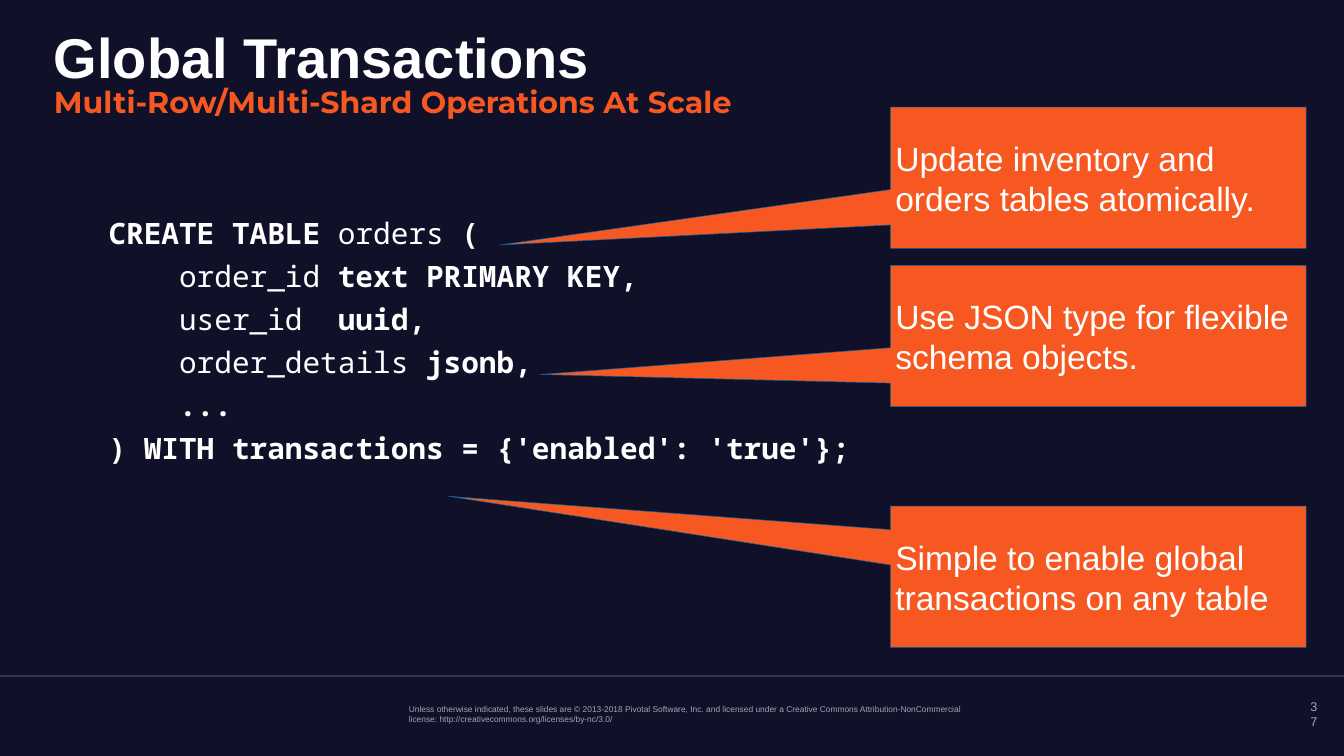
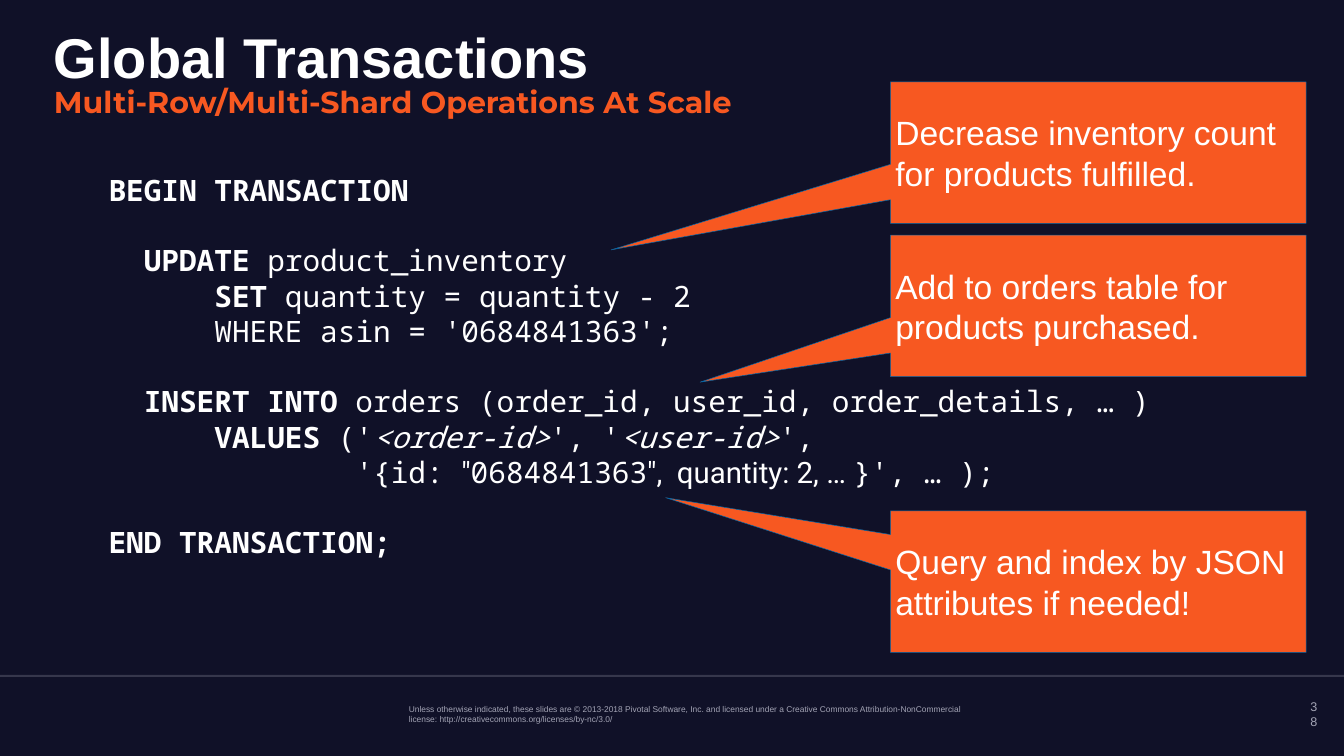
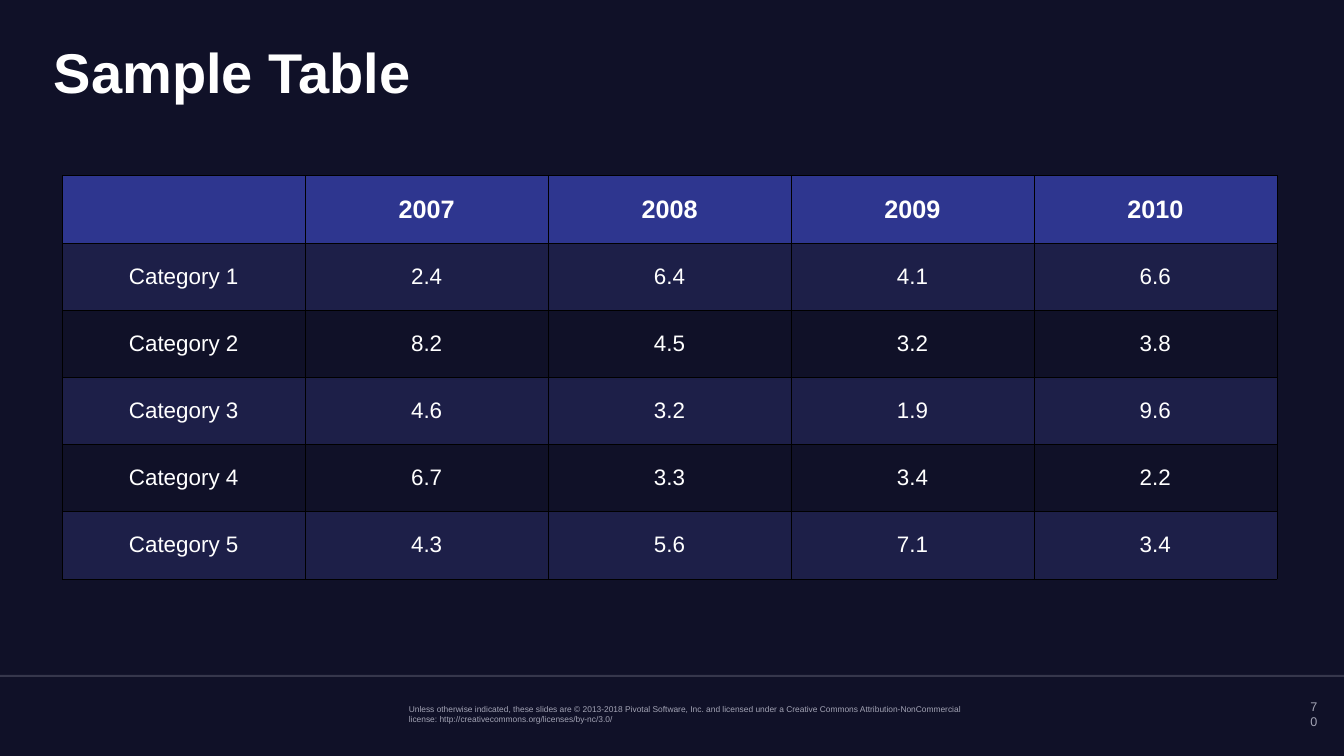
"""Build three dark slides: two annotated SQL listings and a sample table."""
from lxml.etree import SubElement
from pptx import Presentation
from pptx.dml.color import RGBColor
from pptx.enum.shapes import MSO_SHAPE
from pptx.enum.text import MSO_ANCHOR, PP_ALIGN
from pptx.oxml.ns import qn
from pptx.util import Pt

PX = 12700
SLIDE_W, SLIDE_H = 1920, 1080

NAVY = RGBColor(0x10, 0x11, 0x28)
INDIGO = RGBColor(0x1D, 0x1F, 0x48)
BLUE = RGBColor(0x2E, 0x36, 0x8F)
ORANGE = RGBColor(0xF7, 0x58, 0x21)
OUTLINE = RGBColor(0x00, 0x65, 0xA7)
GRAY = RGBColor(0xA3, 0xA4, 0xB5)
WHITE = RGBColor(0xFF, 0xFF, 0xFF)

SANS, DISPLAY, MONO, ROBOTO = "Arial", "Montserrat", "Noto Sans Mono", "Roboto"
CODE_SIZE, CODE_LINE = 42, 50
CALLOUT_X, CALLOUT_W, CALLOUT_H = 1272, 594, 202
TABLE_X, TABLE_Y, COL_W, ROW_H = 89, 251, 347, 96

TITLE = "Global Transactions"
SUBTITLE = "Multi-Row/Multi-Shard Operations At Scale"
LICENSE = (
    "Unless otherwise indicated, these slides are © 2013-2018 Pivotal Software, Inc. "
    "and licensed under a Creative Commons Attribution-NonCommercial license: "
    "http://creativecommons.org/licenses/by-nc/3.0/"
)

B = {"bold": True}
I = {"italic": True}
R = {"font": ROBOTO}

CREATE_CODE = [
    [("CREATE TABLE ", B), ("orders", {}), (" (", B)],
    [("    ", B), ("order_id", {}), (" text PRIMARY KEY,", B)],
    [("    ", B), ("user_id", {}), ("  uuid,", B)],
    [("    ", B), ("order_details", {}), (" jsonb,", B)],
    [("    ...", B)],
    [(") WITH transactions = {'enabled': 'true'};", B)],
]
CREATE_CALLOUTS = [
    ("Update inventory and orders tables atomically.", 153, (714, 350)),
    ("Simple to enable global transactions on any table", 723, (641, 709)),
    ("Use JSON type for flexible schema objects.", 379, (772, 535)),
]

UPDATE_CODE = [
    [("BEGIN TRANSACTION", B)],
    [("  ", {}), ("UPDATE", B), (" product_inventory", {})],
    [("      ", {}), ("SET", B), (" quantity = quantity - 2", {})],
    [("      WHERE asin = '0684841363';", {})],
    [("  ", {}), ("INSERT INTO", B),
     (" orders (order_id, user_id, order_details, … )", {})],
    [("      ", {}), ("VALUES", B), (" ('", {}), ("<order-id>", I),
     ("', '", {}), ("<user-id>", I), ("',", {})],
    [("              '{id: ", {}), ('"', R), ("0684841363", {}),
     ('",  quantity: 2, … ', R), ("}', … );", {})],
    [("END TRANSACTION;", B)],
]
UPDATE_GAPS = {1: CODE_LINE, 4: CODE_LINE, 7: CODE_LINE}
UPDATE_CALLOUTS = [
    ("Decrease inventory count for products fulfilled.", 117, (873, 357)),
    ("Query and index by JSON attributes if needed!", 730, (951, 711)),
    ("Add to orders table for products purchased.", 336, (1000, 546)),
]

TABLE_ROWS = [
    ["", "2007", "2008", "2009", "2010"],
    ["Category 1", "2.4", "6.4", "4.1", "6.6"],
    ["Category 2", "8.2", "4.5", "3.2", "3.8"],
    ["Category 3", "4.6", "3.2", "1.9", "9.6"],
    ["Category 4", "6.7", "3.3", "3.4", "2.2"],
    ["Category 5", "4.3", "5.6", "7.1", "3.4"],
]


def px(*lengths):
    return [n * PX for n in lengths]


def add_run(p, text, size, color=WHITE, font=SANS, bold=False, italic=False):
    r = p.add_run()
    r.text = text
    r.font.size = Pt(size)
    r.font.name = font
    r.font.bold = bold
    r.font.italic = italic
    r.font.color.rgb = color


def set_frame(tf, inset, anchor=MSO_ANCHOR.TOP):
    tf.word_wrap = True
    tf.vertical_anchor = anchor
    tf.margin_left = tf.margin_right = tf.margin_top = tf.margin_bottom = inset * PX
    return tf.paragraphs[0]


def add_box(s, x, y, w, h, inset=9, anchor=MSO_ANCHOR.TOP):
    tf = s.shapes.add_textbox(*px(x, y, w, h)).text_frame
    set_frame(tf, inset, anchor)
    return tf


def add_footer(s, number):
    tf = add_box(s, 575, 997, 843, 49)
    add_run(tf.paragraphs[0], LICENSE, 12, GRAY)

    rule = s.shapes.add_shape(MSO_SHAPE.RECTANGLE, *px(0, 964, SLIDE_W, 3))
    rule.shadow.inherit = False
    rule.line.fill.background()
    rule.fill.solid()
    rule.fill.fore_color.rgb = GRAY
    color = rule.fill._xPr.find(qn("a:solidFill"))[0]
    SubElement(color, qn("a:alpha"), val="26000")

    p = add_box(s, 1854, 999, 37, 41, anchor=MSO_ANCHOR.MIDDLE).paragraphs[0]
    p.alignment = PP_ALIGN.RIGHT
    add_run(p, str(number), 18, GRAY)


def add_title(s, title, subtitle=None):
    tf = add_box(s, 68, 35, 1785, 133, anchor=MSO_ANCHOR.MIDDLE)
    add_run(tf.paragraphs[0], title, 80, bold=True)
    if subtitle:
        p = tf.add_paragraph()
        p.line_spacing = 0.85
        add_run(p, subtitle, 43, ORANGE, DISPLAY, bold=True)


def add_slide(prs, number, title, subtitle=None):
    s = prs.slides.add_slide(prs.slide_layouts[6])
    add_footer(s, number)
    add_title(s, title, subtitle)
    return s


def add_code(s, lines, y, h, spacing=0, gaps=None):
    tf = add_box(s, 153, y, 1608, h, inset=2)
    for i, line in enumerate(lines):
        p = tf.add_paragraph() if i else tf.paragraphs[0]
        if i:
            p.space_before = Pt((gaps or {}).get(i, spacing))
        for text, style in line:
            add_run(p, text, CODE_SIZE, **{"font": MONO, **style})


def add_callout(s, text, y, tip):
    sp = s.shapes.add_shape(MSO_SHAPE.ROUNDED_RECTANGULAR_CALLOUT,
                            *px(CALLOUT_X, y, CALLOUT_W, CALLOUT_H))
    sp.shadow.inherit = False
    sp.adjustments[0] = (tip[0] - CALLOUT_X) / CALLOUT_W - 0.5
    sp.adjustments[1] = (tip[1] - y) / CALLOUT_H - 0.5
    sp.adjustments[2] = 0
    sp.fill.solid()
    sp.fill.fore_color.rgb = ORANGE
    sp.line.color.rgb = OUTLINE
    sp.line.width = Pt(0.75)
    p = set_frame(sp.text_frame, 7, MSO_ANCHOR.MIDDLE)
    p.alignment = PP_ALIGN.LEFT
    add_run(p, text, 48)


def add_borders(cell):
    tc_pr = cell._tc.get_or_add_tcPr()
    for side in ("a:lnL", "a:lnR", "a:lnT", "a:lnB"):
        ln = SubElement(tc_pr, qn(side), w=str(Pt(0.75)))
        fill = SubElement(ln, qn("a:solidFill"))
        SubElement(fill, qn("a:srgbClr"), val="000000")


def add_cell(cell, text, fill, **style):
    add_borders(cell)
    cell.fill.solid()
    cell.fill.fore_color.rgb = fill
    cell.vertical_anchor = MSO_ANCHOR.MIDDLE
    cell.margin_left = cell.margin_right = 3 * PX
    cell.margin_top = cell.margin_bottom = 3 * PX
    p = cell.text_frame.paragraphs[0]
    p.alignment = PP_ALIGN.CENTER
    if text:
        add_run(p, text, **style)


def add_data_table(s, rows):
    n_rows, n_cols = len(rows), len(rows[0])
    table = s.shapes.add_table(
        n_rows, n_cols, *px(TABLE_X, TABLE_Y, n_cols * COL_W, n_rows * ROW_H)).table
    for i, row in enumerate(rows):
        header = i == 0
        fill = BLUE if header else INDIGO if i % 2 else NAVY
        for j, text in enumerate(row):
            add_cell(table.cell(i, j), text, fill,
                     size=36 if header else 32, bold=header)


def main():
    prs = Presentation()
    prs.slide_width, prs.slide_height = px(SLIDE_W, SLIDE_H)
    background = prs.slide_master.background.fill
    background.solid()
    background.fore_color.rgb = NAVY

    s = add_slide(prs, 37, TITLE, SUBTITLE)
    add_code(s, CREATE_CODE, 305, 566, spacing=11)
    for callout in CREATE_CALLOUTS:
        add_callout(s, *callout)

    s = add_slide(prs, 38, TITLE, SUBTITLE)
    add_code(s, UPDATE_CODE, 244, 756, gaps=UPDATE_GAPS)
    for callout in UPDATE_CALLOUTS:
        add_callout(s, *callout)

    s = add_slide(prs, 70, "Sample Table")
    add_data_table(s, TABLE_ROWS)

    prs.save("out.pptx")


if __name__ == "__main__":
    main()
